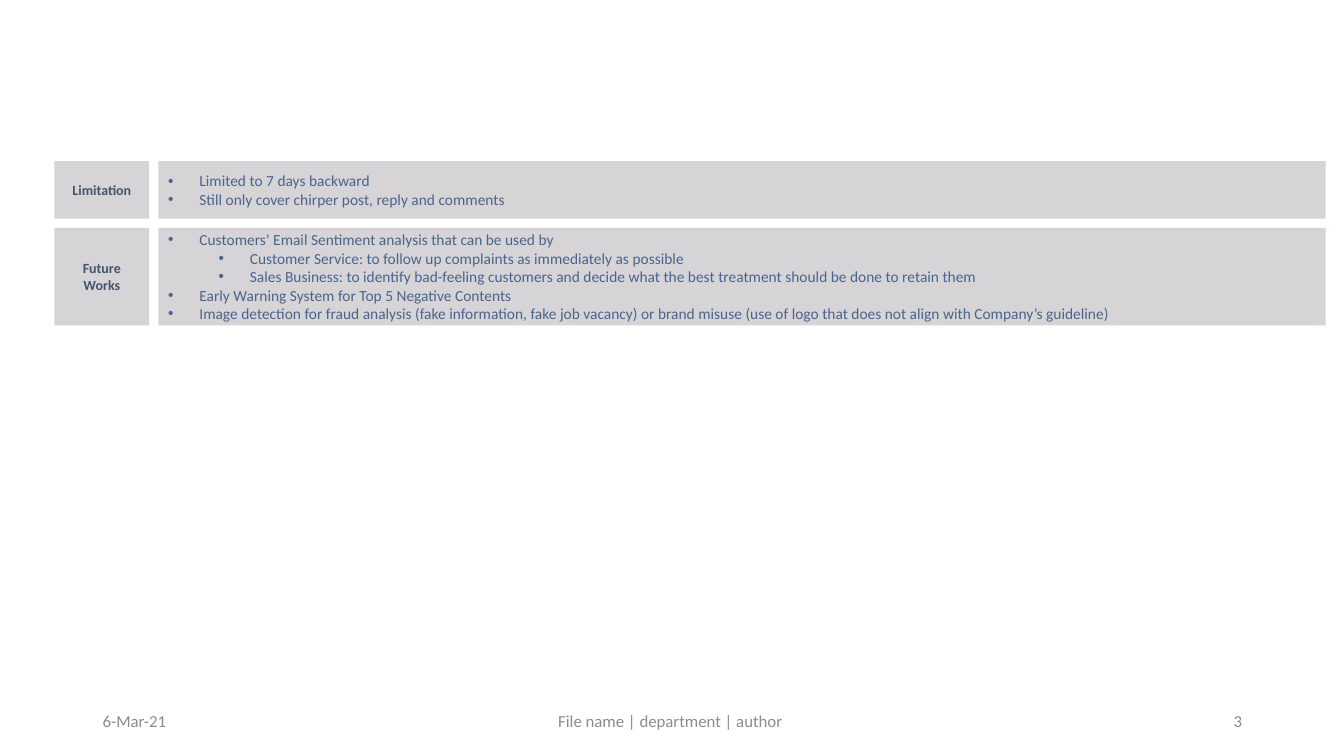
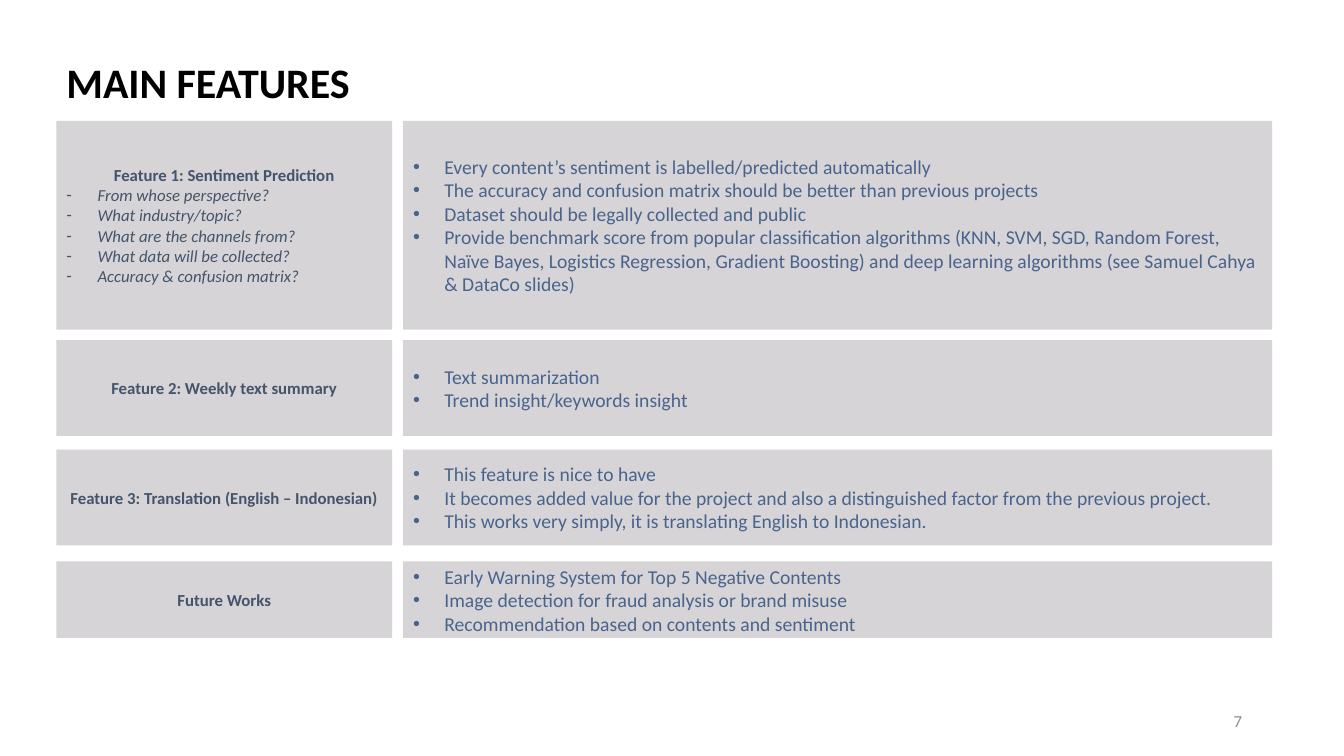
from lxml import etree
from pptx import Presentation, util as u
from pptx.dml.color import RGBColor
from pptx.enum import shapes, text
from pptx.oxml.ns import qn

CELL = 0.1
COLUMNS, ROWS = 133.33, 75
LEFT, CENTER, RIGHT = text.PP_ALIGN.LEFT, text.PP_ALIGN.CENTER, text.PP_ALIGN.RIGHT


def cells(count):
    return u.Inches(count * CELL)


def color(value):
    return RGBColor.from_string(value)


class Deck:
    font = "Calibri"
    panel, label_ink, body_ink = "D6D4D7", "44546A", "49648C"
    title_ink, footer_ink = "000000", "8C8C8C"
    hanging, level_step = 3.1, 5

    def __init__(self):
        self.presentation = Presentation()
        self.presentation.slide_width = cells(COLUMNS)
        self.presentation.slide_height = cells(ROWS)
        self.slide = None

    def new_slide(self):
        self.slide = self.presentation.slides.add_slide(self.presentation.slide_layouts[6])

    def prepare(self, shape):
        frame = shape.text_frame
        frame.word_wrap = True
        frame.vertical_anchor = text.MSO_ANCHOR.MIDDLE
        return frame

    def add_text(self, frame, content, size, ink, align=LEFT, bold=False, italic=False,
                 bullet=None, level=0):
        paragraph = frame.paragraphs[0]
        if paragraph.runs:
            paragraph = frame.add_paragraph()
        paragraph.alignment = align
        paragraph.level = level
        if bullet:
            properties = paragraph._p.get_or_add_pPr()
            properties.set("marL", str(cells(self.hanging + level * self.level_step)))
            properties.set("indent", str(-cells(self.hanging)))
            etree.SubElement(properties, qn("a:buFont")).set("typeface", "Arial")
            etree.SubElement(properties, qn("a:buChar")).set("char", bullet)
        run = paragraph.add_run()
        run.text = content
        run.font.name = self.font
        run.font.size = u.Pt(size)
        run.font.bold = bold
        run.font.italic = italic
        run.font.color.rgb = color(ink)
        return paragraph

    def text_box(self, column, row, width, height, content, size, ink, align=LEFT, bold=False):
        box = self.slide.shapes.add_textbox(*map(cells, (column, row, width, height)))
        return self.add_text(self.prepare(box), content, size, ink, align, bold)

    def title(self, content):
        paragraph = self.text_box(5.6, 5.6, 116.7, 5.6, content, 30, self.title_ink, bold=True)
        paragraph.line_spacing = 0.9

    def footer(self, number, date=None, caption=None):
        for column, width, content, align in ((9.2, 30, date, LEFT),
                                              (44.2, 45, caption, CENTER),
                                              (94.2, 30, number, RIGHT)):
            if content:
                self.text_box(column, 69.5, width, 4, content, 12, self.footer_ink, align)

    def box(self, column, row, width, height):
        shape = self.slide.shapes.add_shape(
            shapes.MSO_SHAPE.RECTANGLE, *map(cells, (column, row, width, height)))
        shape.shadow.inherit = False
        shape.fill.solid()
        shape.fill.fore_color.rgb = color(self.panel)
        shape.line.fill.background()
        return self.prepare(shape)

    def label(self, place, heading, questions, size):
        frame = self.box(*place)
        self.add_text(frame, heading, size, self.label_ink, CENTER, bold=True)
        for question in questions:
            self.add_text(frame, question, size, self.label_ink, italic=True, bullet="-")

    def body(self, place, points, size):
        frame = self.box(*place)
        for level, point in points:
            self.add_text(frame, point, size, self.body_ink, bullet="•", level=level)

    def panels(self, label_span, body_span, label_size, body_size, bands):
        for row, height, heading, questions, points in bands:
            self.label((label_span[0], row, label_span[1], height), heading, questions, label_size)
            self.body((body_span[0], row, body_span[1], height), points, body_size)


OUTLOOK = [
    (16, 5.7, "Limitation", [], [
        (0, "Limited to 7 days backward"),
        (0, "Still only cover chirper post, reply and comments"),
    ]),
    (22.6, 9.7, "Future Works", [], [
        (0, "Customers’ Email Sentiment analysis that can be used by"),
        (1, "Customer Service: to follow up complaints as immediately as possible"),
        (1, "Sales Business: to identify bad-feeling customers and decide what the best "
            "treatment should be done to retain them"),
        (0, "Early Warning System for Top 5 Negative Contents"),
        (0, "Image detection for fraud analysis (fake information, fake job vacancy) or brand "
            "misuse (use of logo that does not align with Company’s guideline)"),
    ]),
]

FEATURES = [
    (12, 20.7, "Feature 1: Sentiment Prediction", [
        "From whose perspective?",
        "What industry/topic?",
        "What are the channels from?",
        "What data will be collected?",
        "Accuracy & confusion matrix?",
    ], [
        (0, "Every content’s sentiment is labelled/predicted automatically"),
        (0, "The accuracy and confusion matrix should be better than previous projects"),
        (0, "Dataset should be legally collected and public"),
        (0, "Provide benchmark score from popular classification algorithms (KNN, SVM, SGD, "
            "Random Forest, Naïve Bayes, Logistics Regression, Gradient Boosting) and deep "
            "learning algorithms (see Samuel Cahya & DataCo slides)"),
    ]),
    (33.75, 9.5, "Feature 2: Weekly text summary", [], [
        (0, "Text summarization"),
        (0, "Trend insight/keywords insight"),
    ]),
    (44.6, 9.5, "Feature 3: Translation (English – Indonesian)", [], [
        (0, "This feature is nice to have"),
        (0, "It becomes added value for the project and also a distinguished factor from the "
            "previous project."),
        (0, "This works very simply, it is translating English to Indonesian."),
    ]),
    (55.7, 7.6, "Future Works", [], [
        (0, "Early Warning System for Top 5 Negative Contents"),
        (0, "Image detection for fraud analysis or brand misuse"),
        (0, "Recommendation based on contents and sentiment"),
    ]),
]


def main():
    deck = Deck()

    deck.new_slide()
    deck.footer("3", "6-Mar-21", "File name | department | author ")
    deck.panels((5.4, 9.4), (15.7, 115.8), 10, 11, OUTLOOK)

    deck.new_slide()
    deck.title("MAIN FEATURES")
    deck.footer("7")
    deck.panels((5.6, 33.3), (40, 86.2), 12, 14, FEATURES)

    deck.presentation.save("out.pptx")


if __name__ == "__main__":
    main()
